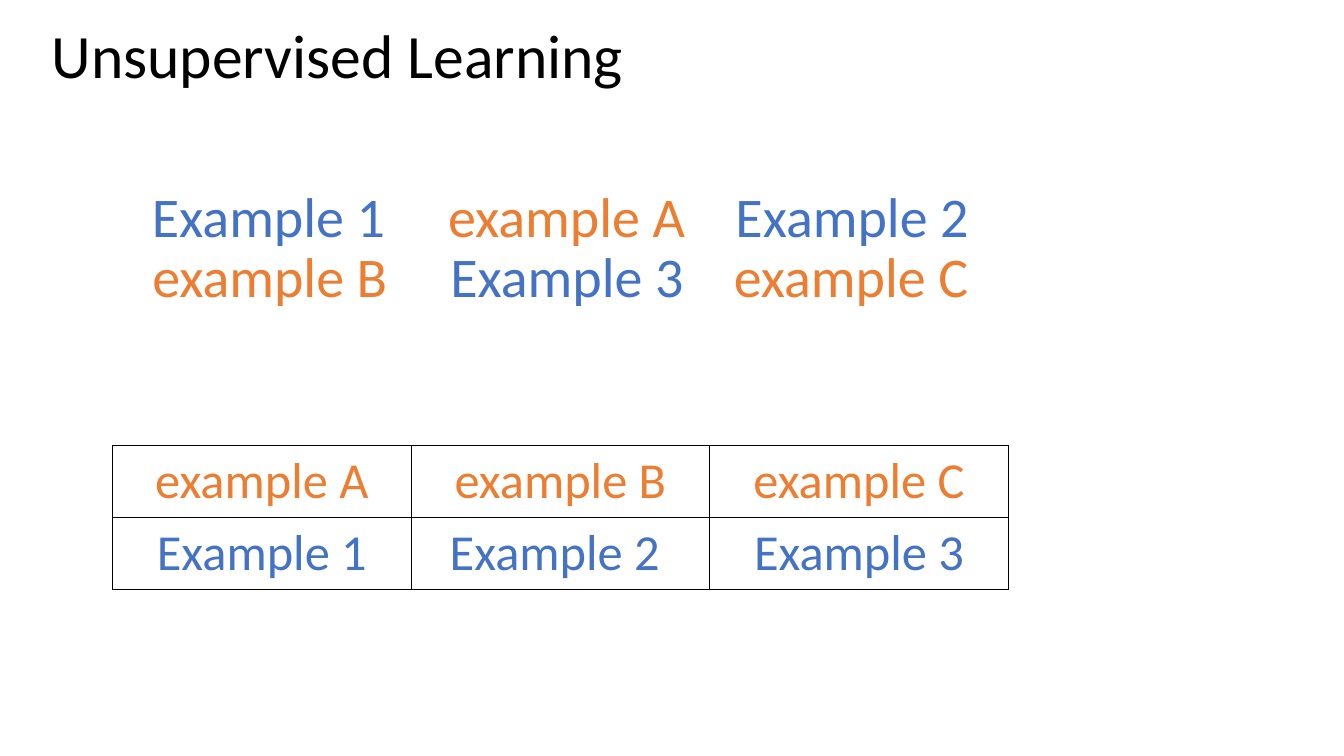
"""Build the Unsupervised Learning slide with mixed and grouped examples."""
import pptx
import pptx.util
import pptx.dml.color
import pptx.enum.text
import pptx.oxml.ns
import lxml.etree

BLACK = pptx.dml.color.RGBColor(0x00, 0x00, 0x00)
BLUE = pptx.dml.color.RGBColor(0x44, 0x72, 0xC4)
ORANGE = pptx.dml.color.RGBColor(0xED, 0x7D, 0x31)
ALIGN = pptx.enum.text.PP_ALIGN
ANCHOR = pptx.enum.text.MSO_ANCHOR


def add_text(paragraph, text, *, size, color, alignment=ALIGN.LEFT, line_spacing=None, tracking=0):
    paragraph.alignment = alignment
    paragraph.line_spacing = line_spacing
    paragraph.space_before = pptx.util.Pt(0)
    run = paragraph.add_run()
    run.text = text
    run.font.name = "Calibri"
    run.font.size = pptx.util.Pt(size)
    run.font.color.rgb = color
    if tracking:
        run.font._element.set("spc", str(tracking * 100))


def add_element(parent, tag, **attributes):
    return lxml.etree.SubElement(parent, pptx.oxml.ns.qn(tag), **attributes)


presentation = pptx.Presentation()
presentation.slide_width = pptx.util.Inches(13.33)
presentation.slide_height = pptx.util.Inches(7.5)
column = presentation.slide_width / 32
row = presentation.slide_height / 36
slide = presentation.slides.add_slide(presentation.slide_layouts[1])

title, body = slide.placeholders
places = [(title, 0.99, 0.96, 30.24, 3.65), (body, 0.98, 4.6, 24.72, 29.95)]
for placeholder, left, top, width, height in places:
    placeholder.left, placeholder.width = int(left * column), int(width * column)
    placeholder.top, placeholder.height = int(top * row), int(height * row)
    placeholder.text_frame.auto_size = pptx.enum.text.MSO_AUTO_SIZE.NONE
    placeholder.text_frame.word_wrap = True

title.text_frame.vertical_anchor = ANCHOR.MIDDLE
add_text(title.text_frame.paragraphs[0], "Unsupervised Learning",
         size=44, color=BLACK, line_spacing=0.9)

mixed_examples = [("Example 1", BLUE, 36), ("example A", ORANGE, 27), ("Example 2", BLUE, 9),
                  ("example B", ORANGE, 36), ("Example 3", BLUE, 27), ("example C", ORANGE, 0)]
body.text_frame.vertical_anchor = ANCHOR.TOP
body.text_frame.margin_top = int(4.39 * row)
paragraph = body.text_frame.paragraphs[0]
properties = paragraph._p.get_or_add_pPr()
properties.set("marL", "0")
properties.set("indent", "0")
add_element(properties, "a:buNone")
body_format = {"size": 40, "alignment": ALIGN.CENTER, "line_spacing": 0.9}
for example, color, gap in mixed_examples:
    add_text(paragraph, example, color=color, **body_format)
    if gap:
        add_text(paragraph, " ", color=color, tracking=gap, **body_format)

groups = [(("example A", "example B", "example C"), ORANGE),
          (("Example 1", "Example 2 ", "Example 3"), BLUE)]
table = slide.shapes.add_table(2, 3, int(2.68 * column), int(21.22 * row),
                               int(21.33 * column), int(6.8 * row)).table
table.first_row = table.horz_banding = False
for row_index, (examples, color) in enumerate(groups):
    table.rows[row_index].height = int(3.4 * row)
    for column_index, example in enumerate(examples):
        table.columns[column_index].width = int(7.11 * column)
        cell = table.cell(row_index, column_index)
        add_text(cell.text_frame.paragraphs[0], example,
                 size=36, color=color, alignment=ALIGN.CENTER)
        properties = cell._tc.get_or_add_tcPr()
        for side in ("a:lnL", "a:lnR", "a:lnT", "a:lnB"):
            border = add_element(properties, side, w=str(pptx.util.Pt(1)))
            add_element(add_element(border, "a:solidFill"), "a:srgbClr", val=str(BLACK))
        cell.fill.background()

presentation.save("out.pptx")
